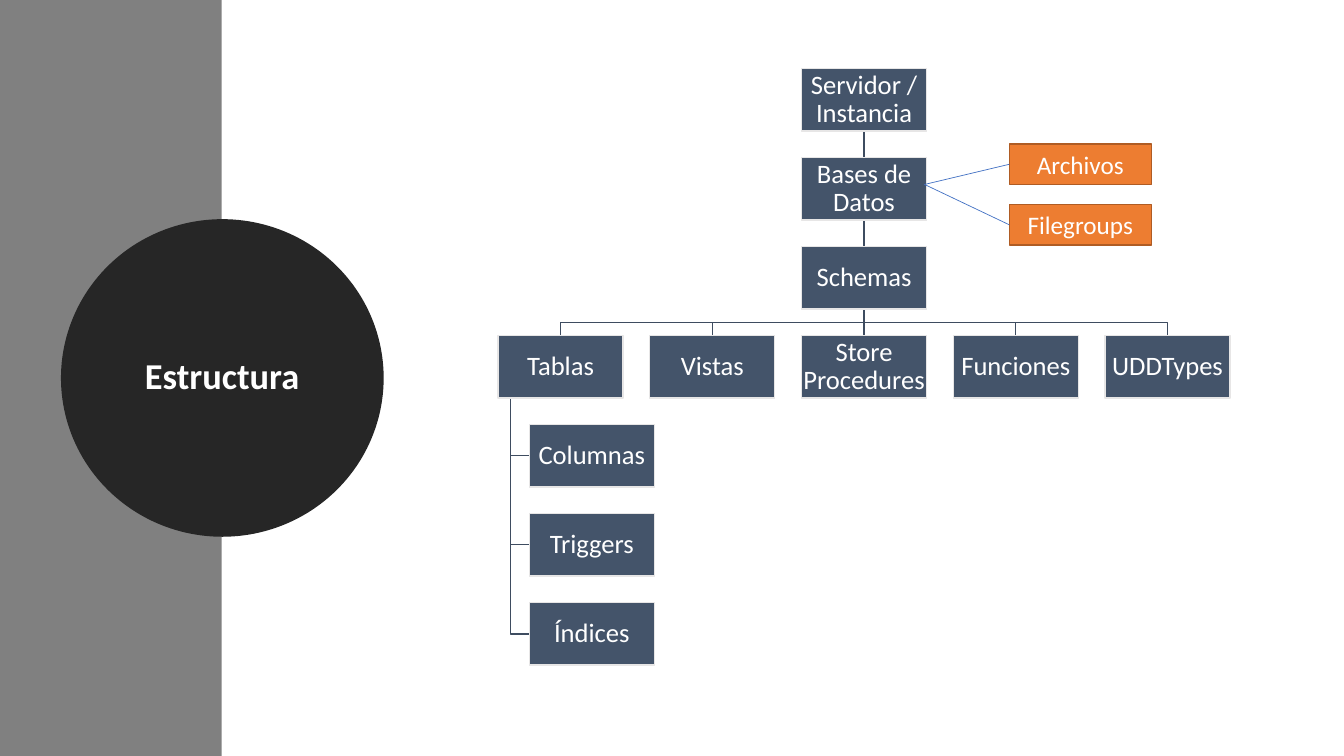
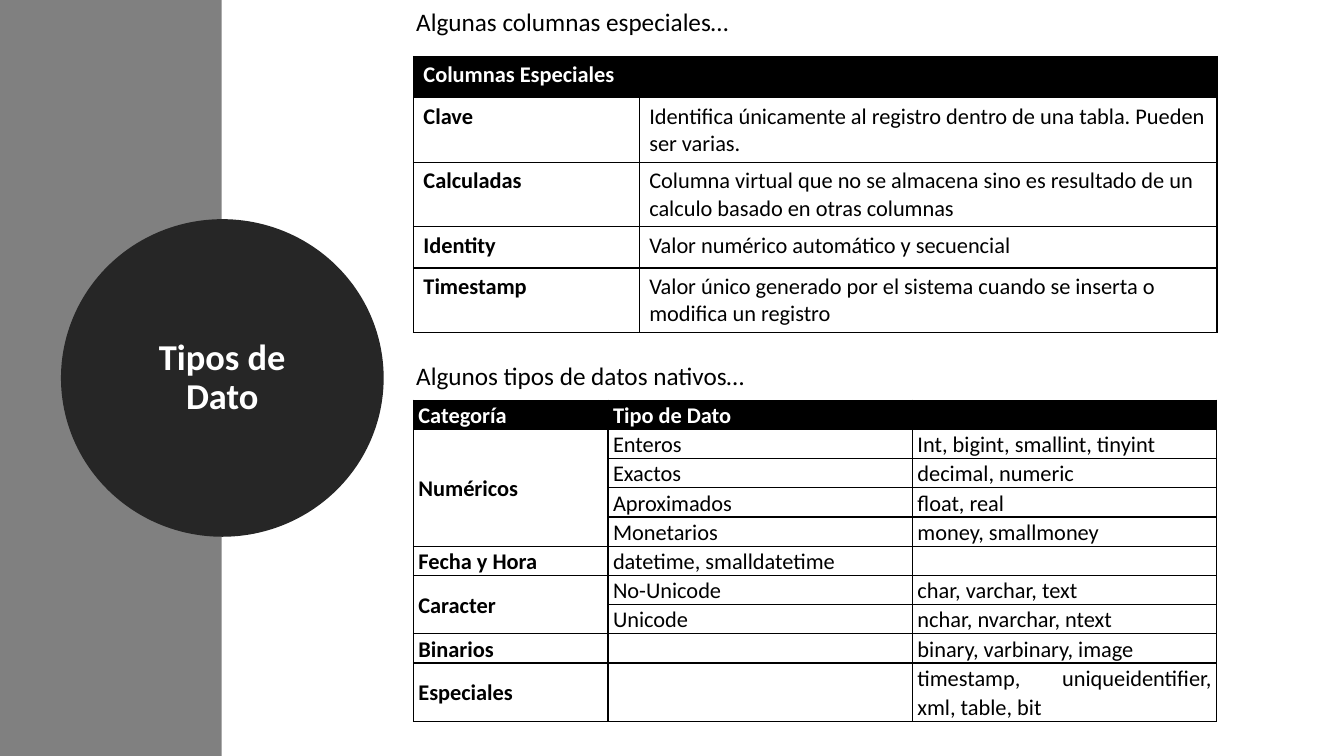
from lxml.etree import SubElement
from pptx import Presentation
from pptx.dml.color import RGBColor
from pptx.enum.shapes import MSO_CONNECTOR, MSO_SHAPE
from pptx.enum.text import MSO_ANCHOR, PP_ALIGN
from pptx.oxml.ns import qn
from pptx.util import Inches, Pt

FONT = "Calibri"
BLACK, WHITE, GRAY, DARK = "000000", "FFFFFF", "808080", "262626"
NAVY, PALE, BRANCH = "44546A", "E7E6E6", "3E4C60"
ORANGE, RUST, BLUE = "ED7D31", "AF5C24", "4472C4"
CENTER, JUSTIFY = PP_ALIGN.CENTER, PP_ALIGN.JUSTIFY
TOP, MIDDLE = MSO_ANCHOR.TOP, MSO_ANCHOR.MIDDLE

BOX_W, BOX_H, COL_STEP, ROW_STEP = 1.24, 0.62, 1.505, 0.883
TRUNK = ["Servidor / Instancia", "Bases de Datos", "Schemas"]
OBJECTS = ["Tablas", "Vistas", "Store Procedures", "Funciones", "UDDTypes"]
TABLE_PARTS = ["Columnas", "Triggers", "Índices"]
STORAGE = ["Archivos", "Filegroups"]

SPECIAL_COLUMNS = [
    ("Columnas Especiales", ""),
    ("Clave", "Identifica únicamente al registro dentro de una tabla. Pueden ser varias."),
    ("Calculadas", "Columna virtual que no se almacena sino es resultado de un "
                   "calculo basado en otras columnas"),
    ("Identity", "Valor numérico automático y secuencial"),
    ("Timestamp", "Valor único generado por el sistema cuando se inserta o "
                  "modifica un registro"),
]
DATA_TYPES = [
    ("Categoría", "Tipo de Dato", ""),
    ("Numéricos", "Enteros", "Int, bigint, smallint, tinyint"),
    ("", "Exactos", "decimal, numeric"),
    ("", "Aproximados", "float, real"),
    ("", "Monetarios", "money, smallmoney"),
    ("Fecha y Hora", "datetime, smalldatetime", ""),
    ("Caracter", "No-Unicode", "char, varchar, text"),
    ("", "Unicode", "nchar, nvarchar, ntext"),
    ("Binarios", "", "binary, varbinary, image"),
    ("Especiales", "", "timestamp, uniqueidentifier, xml, table, bit"),
]


def rgb(color):
    """Turn a hex string into a colour."""
    return RGBColor.from_string(color)


def write(tf, text, size=18, color=BLACK, bold=False, align=None, spacing=None):
    """Write one formatted paragraph into a text frame."""
    p = tf.paragraphs[0]
    p.alignment, p.line_spacing = align, spacing
    if not text:
        SubElement(p._p, qn("a:endParaRPr"), sz=str(size * 100))
        return
    r = p.add_run()
    r.text = text
    r.font.name, r.font.size, r.font.bold = FONT, Pt(size), bold
    r.font.color.rgb = rgb(color)


def add_box(s, kind, x, y, w, h, fill, line=None, weight=1, text="", inset=None, **style):
    """Add a filled preset shape with optional outline and text."""
    sp = s.shapes.add_shape(kind, Inches(x), Inches(y), Inches(w), Inches(h))
    sp.shadow.inherit = False
    sp.fill.solid()
    sp.fill.fore_color.rgb = rgb(fill)
    if line:
        sp.line.color.rgb, sp.line.width = rgb(line), Pt(weight)
    else:
        sp.line.fill.background()
    if text:
        tf = sp.text_frame
        tf.word_wrap, tf.vertical_anchor = True, MIDDLE
        if inset is not None:
            tf.margin_left = tf.margin_right = tf.margin_top = tf.margin_bottom = Inches(inset)
        write(tf, text, color=WHITE, align=CENTER, **style)


def add_line(s, start, end, color, weight):
    """Draw a straight line between two points."""
    ends = [Inches(v) for v in (*start, *end)]
    c = s.shapes.add_connector(MSO_CONNECTOR.STRAIGHT, *ends)
    SubElement(c._element.spPr, qn("a:effectLst"))
    c.line.color.rgb, c.line.width = rgb(color), Pt(weight)


def add_bend(s, *points):
    """Draw an open bent branch line through the points."""
    start, *rest = [(Inches(x), Inches(y)) for x, y in points]
    builder = s.shapes.build_freeform(*start)
    builder.add_line_segments(rest, close=False)
    sp = builder.convert_to_shape()
    sp.shadow.inherit = False
    sp.fill.background()
    sp.line.color.rgb, sp.line.width = rgb(BRANCH), Pt(1)


def add_heading(s, x, y, text):
    """Add the heading above a table."""
    tf = s.shapes.add_textbox(Inches(x), Inches(y), Inches(6.71), Inches(0.4)).text_frame
    tf.word_wrap = True
    write(tf, text)


def style_cell(cell, fill):
    """Give a cell its black borders and its fill."""
    pr = cell._tc.get_or_add_tcPr()
    for side in ("a:lnL", "a:lnR", "a:lnT", "a:lnB"):
        ln = SubElement(pr, qn(side), w=str(Pt(1)))
        SubElement(SubElement(ln, qn("a:solidFill")), qn("a:srgbClr"), val=BLACK)
    cell.fill.solid()
    cell.fill.fore_color.rgb = rgb(fill)


def add_grid(s, x, y, widths, heights, rows, merges, margins=(0.1, 0.05),
             anchor=TOP, align=None, spacing=None):
    """Add a bordered table with a black header and a bold first column."""
    frame = s.shapes.add_table(len(rows), len(widths), Inches(x), Inches(y),
                               Inches(sum(widths)), Inches(sum(heights)))
    table = frame.table
    table.first_row = table.horz_banding = False
    for col, w in zip(table.columns, widths):
        col.width = Inches(w)
    for i, (row, h) in enumerate(zip(rows, heights)):
        table.rows[i].height = Inches(h)
        for j, text in enumerate(row):
            cell = table.cell(i, j)
            style_cell(cell, WHITE if i else BLACK)
            cell.margin_left = cell.margin_right = Inches(margins[0])
            cell.margin_top = cell.margin_bottom = Inches(margins[1])
            cell.vertical_anchor = anchor
            write(cell.text_frame, text, size=16, color=BLACK if i else WHITE,
                  bold=i == 0 or j == 0, align=align if j else None, spacing=spacing)
    for first, last in merges:
        table.cell(*first).merge(table.cell(*last))


def add_base(prs, title):
    """Add a slide with the side band and the title circle."""
    s = prs.slides.add_slide(prs.slide_layouts[6])
    add_box(s, MSO_SHAPE.RECTANGLE, 0, 0, 2.2, 7.5, GRAY)
    add_box(s, MSO_SHAPE.OVAL, 0.7, 2.27, 3.01, 2.96, DARK, DARK, 13.75,
            text=title, size=26, bold=True, spacing=0.9)
    return s


def add_tree(s, x, y):
    """Draw the server hierarchy from its top left corner."""
    trunk_x = x + 2 * COL_STEP
    mid, level = trunk_x + BOX_W / 2, y + 3 * ROW_STEP
    part_x, stem = x + BOX_W / 4, x + BOX_W / 10
    gap = ROW_STEP - BOX_H
    for i in range(len(TRUNK)):
        top = y + i * ROW_STEP + BOX_H
        add_line(s, (mid, top), (mid, top + gap), BRANCH, 1)
    for i in (0, 1, 3, 4):
        end, bar = x + i * COL_STEP + BOX_W / 2, level - gap / 2
        add_bend(s, (mid, level - gap), (mid, bar), (end, bar), (end, level))
    for i in range(len(TABLE_PARTS)):
        center = level + (i + 1) * ROW_STEP + BOX_H / 2
        add_bend(s, (stem, level + BOX_H), (stem, center), (part_x, center))
    nodes = [(trunk_x, y + i * ROW_STEP, t) for i, t in enumerate(TRUNK)]
    nodes += [(x + i * COL_STEP, level, t) for i, t in enumerate(OBJECTS)]
    nodes += [(part_x, level + i * ROW_STEP, t) for i, t in enumerate(TABLE_PARTS, 1)]
    for left, top, text in nodes:
        add_box(s, MSO_SHAPE.RECTANGLE, left, top, BOX_W, BOX_H, NAVY, PALE,
                text=text, inset=0.01, size=19, spacing=0.9)


def add_storage(s, x, y, source):
    """Draw the storage boxes, linked to the source point."""
    for i, text in enumerate(STORAGE):
        top = y + 0.6 * i
        add_box(s, MSO_SHAPE.RECTANGLE, x, top, 1.41, 0.4, ORANGE, RUST, text=text)
        add_line(s, source, (x, top + 0.2), BLUE, 0.5)


def build_structure(prs):
    """Build the structure slide."""
    s = add_base(prs, "Estructura")
    add_tree(s, 4.94, 0.68)
    add_storage(s, 10.01, 1.43, (9.17, 1.83))


def build_data_types(prs):
    """Build the data types slide."""
    s = add_base(prs, "Tipos de Dato")
    add_heading(s, 4.03, 0.01, "Algunas columnas especiales…")
    add_grid(s, 4.1, 0.56, [2.24, 5.73], [0.41, 0.64, 0.64, 0.41, 0.64],
             SPECIAL_COLUMNS, [((0, 0), (0, 1))])
    add_heading(s, 4.03, 3.53, "Algunos tipos de datos nativos…")
    add_grid(s, 4.1, 3.97, [1.93, 3.02, 3.02], [0.29] * 9 + [0.58], DATA_TYPES,
             [((1, 0), (4, 0)), ((6, 0), (7, 0))], margins=(0.05, 0),
             anchor=MIDDLE, align=JUSTIFY, spacing=1.07)


def main():
    """Build and save the presentation."""
    prs = Presentation()
    prs.slide_width, prs.slide_height = Inches(13.33), Inches(7.5)
    build_structure(prs)
    build_data_types(prs)
    prs.save("out.pptx")


if __name__ == "__main__":
    main()
